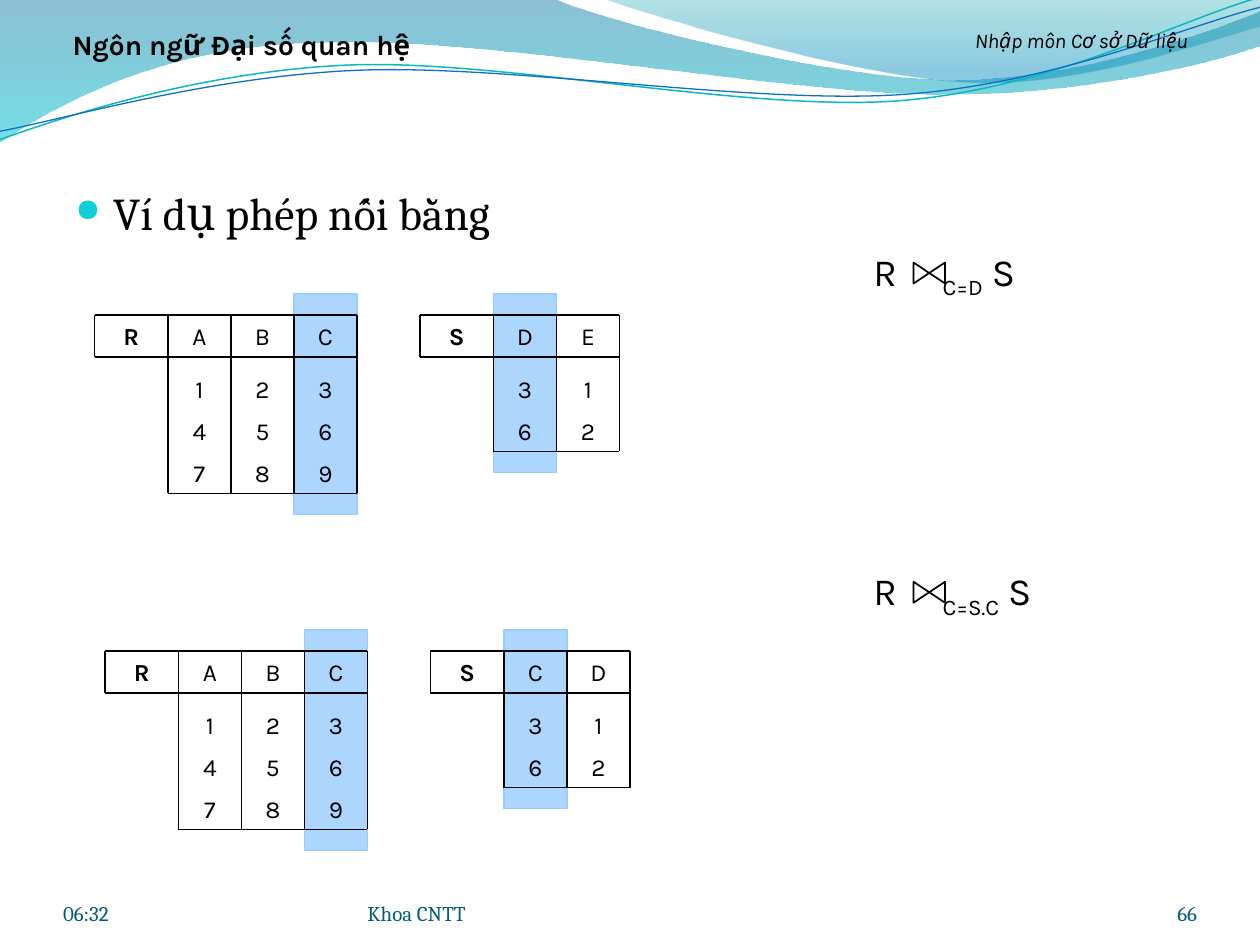
from lxml import etree
from pptx import Presentation
from pptx import util as u
from pptx.dml.color import RGBColor
from pptx.enum import shapes, text
from pptx.oxml.ns import qn

PX = 7620  # EMU; 120 px to the inch
BLACK = RGBColor(0x00, 0x00, 0x00)
FOOTER = RGBColor(0x04, 0x5D, 0x75)
BULLET = RGBColor(0x0B, 0xD0, 0xD9)
HIGHLIGHT = RGBColor(0x99, 0xCC, 0xFF)
TEAL_LINE = RGBColor(0x0A, 0xB8, 0xBF)
BLUE_LINE = RGBColor(0x0F, 0x6F, 0xC6)
DEEP_BLUE = RGBColor(0x00, 0x74, 0xA1)
CYAN = RGBColor(0x00, 0xC6, 0xCF)
TEAL = RGBColor(0x00, 0xA1, 0xA9)
SKY = RGBColor(0x00, 0x8B, 0xBF)

# Each wave is a start point, then lines (x, y) and Bezier curves (6 numbers).
BANDS = [
    ([(0, -1), (528, -1), (571, 20, 797, 76, 910, 76),
      (1024, 76, 1150, 31, 1200, 11), (1201, 43),
      (1180, 53, 1044, 91, 895, 90), (744, 90, 458, 34, 308, 41),
      (155, 42, 55, 100, -1, 136), (0, -1)],
     [(0, DEEP_BLUE, 45), (1, CYAN, 55)]),
    ([(575, -1), (611, 13, 818, 74, 923, 78),
      (1027, 83, 1153, 38, 1200, 25), (1200, 0), (575, -1)],
     [(0, TEAL, 30), (0.8, SKY, 45)]),
]
STRANDS = [
    ([(0, 133), (58, 112, 190, 68, 332, 62), (474, 56, 712, 107, 856, 96),
      (1000, 85, 1126, 18, 1198, -2)], TEAL_LINE, 0.85),
    ([(0, 125), (56, 115, 197, 73, 340, 67), (484, 61, 716, 100, 860, 90),
      (1003, 80, 1129, 25, 1200, 7)], BLUE_LINE, 0.75),
]

R_ROWS = ["ABC", "123", "456", "789"]
# left, top, name, rows, joined column
RELATIONS = [
    (90, 300, "R", R_ROWS, "C"),
    (400, 300, "S", ["DE", "31", "62"], "D"),
    (100, 620, "R", R_ROWS, "C"),
    (410, 620, "S", ["CD", "31", "62"], "C"),
]
NAME_W, COL_W, ROW_H, HEAD_GAP, OVERHANG = 70, 60, 40, 10, 20

JOINS = [(820, 230, 200, "C=D"), (820, 534, 260, "C=S.C")]
FOOTERS = [
    (60, 280, "06:32", text.PP_ALIGN.LEFT),
    (350, 440, "Khoa CNTT", text.PP_ALIGN.LEFT),
    (1040, 100, "66", text.PP_ALIGN.RIGHT),
]


def px(*values):
    return [v * PX for v in values]


def set_alpha(sp, *percents):
    """Give the shape's RGB colours, in order, these opacities."""
    for color, percent in zip(sp._element.iter(qn("a:srgbClr")), percents):
        etree.SubElement(color, qn("a:alpha"), val=str(percent * 1000))


def add_run(p, content, size=14, font="Karla", color=BLACK, bold=False,
            italic=False, baseline=None):
    r = p.add_run()
    r.text = content
    r.font.size = u.Pt(size)
    r.font.name = font
    r.font.color.rgb = color
    r.font.bold = bold
    r.font.italic = italic
    if baseline:
        r.font._element.set("baseline", str(baseline * 1000))


def add_text(s, box, content="", align=text.PP_ALIGN.LEFT, inset=True,
             anchor=text.MSO_ANCHOR.TOP, **font):
    tf = s.shapes.add_textbox(*px(*box)).text_frame
    tf.word_wrap = True
    tf.vertical_anchor = anchor
    if not inset:
        tf.margin_left = tf.margin_right = tf.margin_top = tf.margin_bottom = 0
    p = tf.paragraphs[0]
    p.alignment = align
    if content:
        add_run(p, content, **font)
    return p


def add_line(s, x1, y1, x2, y2):
    line = s.shapes.add_connector(shapes.MSO_CONNECTOR.STRAIGHT,
                                  *px(x1, y1, x2, y2))
    line.line.color.rgb = BLACK
    line.line.width = u.Pt(1)
    etree.SubElement(line._element.spPr, qn("a:effectLst"))


def add_wave(s, segments, closed):
    """Build the outline through all points, then turn triples into curves."""
    start, *rest = segments
    points = [px(*seg[i:i + 2]) for seg in rest for i in range(0, len(seg), 2)]
    fb = s.shapes.build_freeform(*px(*start))
    fb.add_line_segments(points, close=closed)
    sp = fb.convert_to_shape()
    sp.shadow.inherit = False
    steps = iter(list(sp._element.iter(qn("a:lnTo"))))
    for seg in rest:
        step = next(steps)
        if len(seg) == 6:
            step.tag = qn("a:cubicBezTo")
            for _ in range(2):
                extra = next(steps)
                step.append(extra[0])
                extra.getparent().remove(extra)
    return sp


def add_relation(s, left, top, name, rows, joined):
    col_lefts = [left + NAME_W + COL_W * i for i in range(len(rows[0]) + 1)]
    right = col_lefts[-1]
    bottom = top + ROW_H * len(rows) + HEAD_GAP
    band = s.shapes.add_shape(
        shapes.MSO_SHAPE.RECTANGLE,
        *px(col_lefts[rows[0].index(joined)], top - OVERHANG,
            COL_W, bottom - top + 2 * OVERHANG))
    band.shadow.inherit = False
    band.fill.solid()
    band.fill.fore_color.rgb = HIGHLIGHT
    band.line.color.rgb = HIGHLIGHT
    band.line.width = u.Pt(1)
    set_alpha(band, 80)

    add_line(s, left, top, right, top)
    add_line(s, left, top + ROW_H, right, top + ROW_H)
    add_line(s, col_lefts[0], bottom, right, bottom)
    add_line(s, left, top, left, top + ROW_H)
    for x in col_lefts:
        add_line(s, x, top, x, bottom)

    add_text(s, (left, top, NAME_W, ROW_H), name, text.PP_ALIGN.CENTER,
             bold=True)
    for i, values in enumerate(rows):
        y = top + ROW_H * i + (HEAD_GAP if i else 0)
        for x, value in zip(col_lefts, values):
            add_text(s, (x, y, COL_W, ROW_H), value, text.PP_ALIGN.CENTER)


def add_join(s, left, top, width, condition):
    p = add_text(s, (left, top, width, 56))
    tabs = etree.SubElement(p._p.get_or_add_pPr(), qn("a:tabLst"))
    etree.SubElement(tabs, qn("a:tab"), pos=str(66 * PX), algn="l")
    add_run(p, "R\t", size=22)
    add_run(p, condition, size=22, baseline=-25)
    add_run(p, " S", size=22)
    bowtie = s.shapes.add_shape(shapes.MSO_SHAPE.FLOWCHART_COLLATE,
                                *px(left + 55, top + 15, 20, 30))
    bowtie.rotation = 270
    bowtie.shadow.inherit = False
    bowtie.fill.background()
    bowtie.line.color.rgb = BLACK
    bowtie.line.width = u.Pt(1)


def main():
    prs = Presentation()
    prs.slide_width, prs.slide_height = px(1200, 900)
    s = prs.slides.add_slide(prs.slide_layouts[6])

    for segments, stops in BANDS:
        sp = add_wave(s, segments, closed=True)
        sp.line.fill.background()
        sp.fill.gradient()
        sp.fill.gradient_angle = 270
        for stop, (position, color, _) in zip(sp.fill.gradient_stops, stops):
            stop.position = position
            stop.color.rgb = color
        set_alpha(sp, *(alpha for _, _, alpha in stops))
    for segments, color, width in STRANDS:
        sp = add_wave(s, segments, closed=False)
        sp.fill.background()
        sp.line.color.rgb = color
        sp.line.width = u.Pt(width)

    p = add_text(s, (60, 170, 1080, 635), "Ví dụ phép nối bằng",
                 size=26, font="Cambria")
    pPr = p._p.get_or_add_pPr()
    pPr.set("marL", str(36 * PX))
    pPr.set("indent", str(-36 * PX))
    etree.SubElement(etree.SubElement(pPr, qn("a:buClr")),
                     qn("a:srgbClr"), val=str(BULLET))
    etree.SubElement(pPr, qn("a:buSzPct"), val="70000")
    etree.SubElement(pPr, qn("a:buChar"), char="●")

    for relation in RELATIONS:
        add_relation(s, *relation)
    for join in JOINS:
        add_join(s, *join)
    for left, width, content, align in FOOTERS:
        add_text(s, (left, 834, width, 48), content, align, inset=False,
                 anchor=text.MSO_ANCHOR.BOTTOM, size=12, font="Cambria",
                 color=FOOTER)
    add_text(s, (860, 20, 340, 46), "Nhập môn Cơ sở Dữ liệu",
             text.PP_ALIGN.CENTER, size=12, italic=True)
    add_text(s, (30, 20, 400, 44), "Ngôn ngữ Đại số quan hệ",
             text.PP_ALIGN.CENTER, size=16, bold=True)
    prs.save("out.pptx")


if __name__ == "__main__":
    main()
